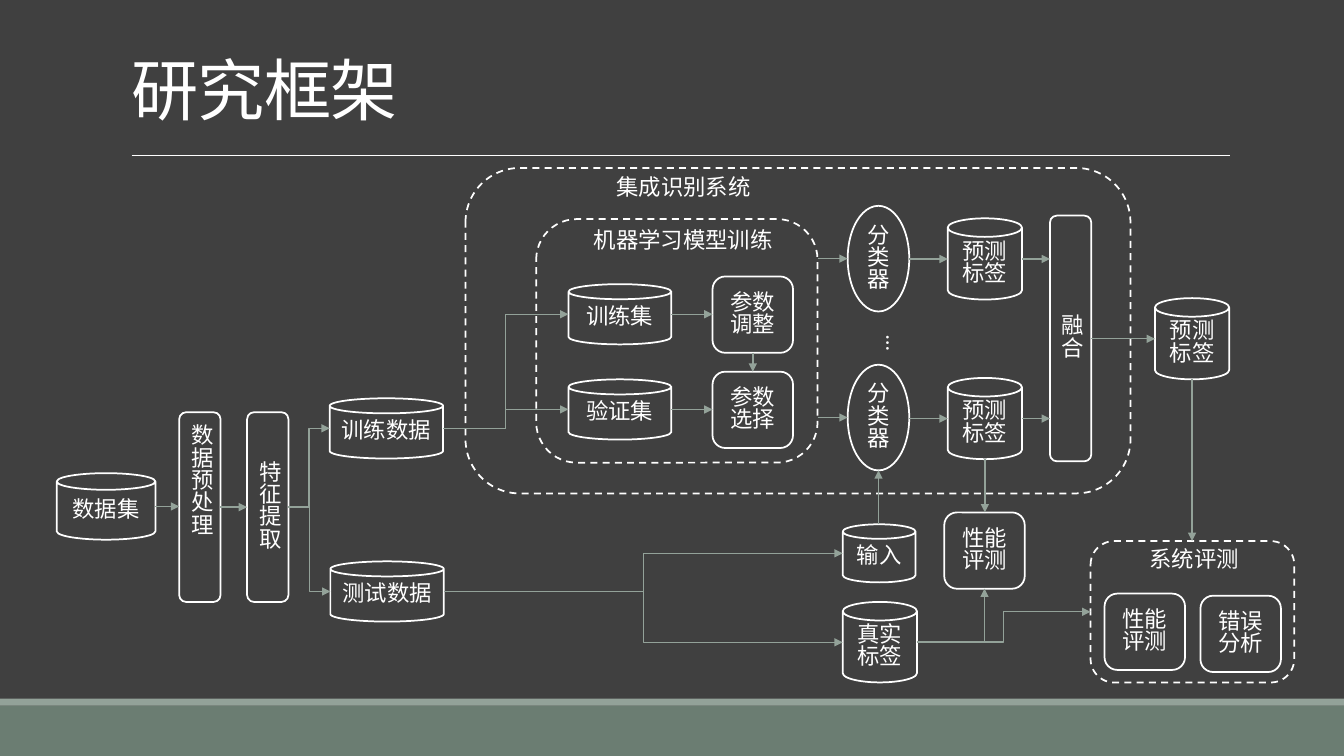
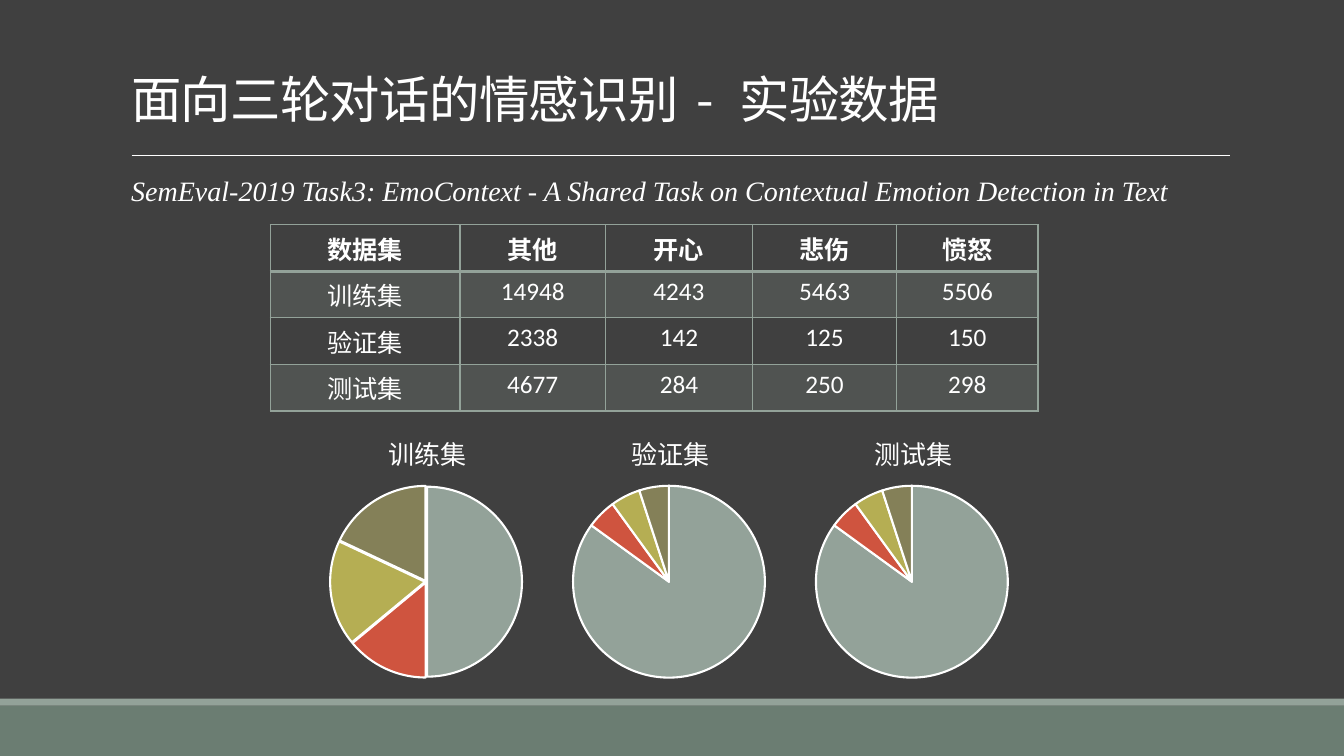
"""Build two slides: a research framework diagram and the experiment data."""
import lxml.etree
import pptx
import pptx.chart.data
import pptx.dml.color
import pptx.enum.chart
import pptx.enum.dml
import pptx.enum.shapes
import pptx.enum.text
import pptx.oxml.ns
import pptx.util

Pt = pptx.util.Pt
qn = pptx.oxml.ns.qn
SHAPE = pptx.enum.shapes.MSO_SHAPE
ALIGN = pptx.enum.text.PP_ALIGN
ANCHOR = pptx.enum.text.MSO_ANCHOR

COLORS = {"ground": "404040", "band": "6B7D72", "sage": "93A299", "white": "FFFFFF",
          "red": "CF543F", "lime": "B5AE53", "olive": "848058"}
HAN, LATIN, SERIF = "Noto Sans CJK SC", "Calibri", "Times New Roman"
SLIDE_W, SLIDE_H = 960, 540
BANDS = [("band", 504, 36), ("sage", 499, 5)]
RULE = (94, 878.5, 111)

FRAMEWORK_TITLE = [("研究框架", -0.5)]
DATA_TITLE = [("面向三轮对话的情感识别", -0.5), (" - ", 5), ("实验数据", -0.5)]
SOURCE = "SemEval-2019 Task3: EmoContext - A Shared Task on Contextual Emotion Detection in Text"

CAN, BOX, OVAL = SHAPE.CAN, SHAPE.ROUNDED_RECTANGLE, SHAPE.OVAL
NODES = {
    "dataset": ("数据集", CAN, 40.5, 338, 70.5, 47.5),
    "preprocess": ("数据预处理", BOX, 128, 294.5, 29.5, 135.5),
    "features": ("特征提取", BOX, 176.5, 294.5, 29.5, 135.5),
    "train data": ("训练数据", CAN, 235.5, 284.5, 81, 43),
    "test data": ("测试数据", CAN, 236, 401, 81, 43),
    "train set": ("训练集", CAN, 406, 203, 73.5, 43),
    "valid set": ("验证集", CAN, 406, 271, 73.5, 43),
    "tuning": ("参数调整", BOX, 509, 197.5, 57.5, 54.5),
    "selection": ("参数选择", BOX, 509, 265.5, 57.5, 54.5),
    "classifier 1": ("分类器", OVAL, 605.5, 147, 44, 75.5),
    "classifier n": ("分类器", OVAL, 605.5, 260.5, 44, 75.5),
    "labels 1": ("预测标签", CAN, 677, 156, 53, 58),
    "labels n": ("预测标签", CAN, 677, 270, 53, 58),
    "fusion": ("融合", BOX, 750, 154, 29.5, 175.5),
    "result": ("预测标签", CAN, 825, 213, 53, 58),
    "input": ("输入", CAN, 602, 374.5, 52, 41.5),
    "truth": ("真实标签", CAN, 602, 430, 53, 57.5),
    "single score": ("性能评测", BOX, 674.5, 366, 57.5, 54.5),
    "system score": ("性能评测", BOX, 789, 424, 57.5, 54.5),
    "errors": ("错误分析", BOX, 857.5, 425.5, 57.5, 54.5),
}
FRAMES = {
    "ensemble": ("", BOX, 332.5, 120, 475, 232.5),
    "training": ("", BOX, 383, 156.5, 201, 174),
    "evaluation": ("", BOX, 779, 386.5, 145.5, 101),
}
FRAME_LABELS = [
    ("集成识别系统", 432.5, 123, 111.5),
    ("机器学习模型训练", 416, 161.5, 144),
    ("系统评测", 813.5, 389, 79),
]
STRAIGHT_ACROSS = [
    ("dataset", "preprocess"), ("preprocess", "features"),
    ("train set", "tuning"), ("valid set", "selection"),
    ("training", "classifier 1"), ("training", "classifier n"),
    ("classifier 1", "labels 1"), ("classifier n", "labels n"),
    ("labels 1", "fusion"), ("labels n", "fusion"), ("fusion", "result"),
]
STRAIGHT_ALONG = [
    ("tuning", "selection"), ("input", "classifier n"),
    ("labels n", "single score"), ("result", "evaluation"),
]
BENT = [
    ("features", "train data"), ("features", "test data"),
    ("train data", "train set"), ("train data", "valid set"),
    ("test data", "input"), ("test data", "truth"), ("truth", "evaluation"),
]
CORNER = ("truth", "single score")

COUNTS = [
    ("数据集", "其他", "开心", "悲伤", "愤怒"),
    ("训练集", "14948", "4243", "5463", "5506"),
    ("验证集", "2338", "142", "125", "150"),
    ("测试集", "4677", "284", "250", "298"),
]
COLUMN_WIDTHS = [135.5, 104, 105, 103, 101]
ROW_HEIGHT = 33
SHARES = [("训练集", (50, 14, 18, 18), 1), ("验证集", (85, 5, 5, 5), 0), ("测试集", (85, 5, 5, 5), 0)]
SLICE_COLORS = ["sage", "red", "lime", "olive"]
PIE_LEFT, PIE_TOP, PIE_W, PIE_H = 216.75, 290, 173.5, 202.5


def rgb(color):
    return pptx.dml.color.RGBColor.from_string(COLORS[color])


def sub(parent, tag, **attributes):
    return lxml.etree.SubElement(parent, qn(tag), attributes)


def write(paragraph, text, size, face=HAN, bold=False, italic=False, spacing=None):
    run = paragraph.add_run()
    run.text = text
    font = run.font
    font.size, font.name, font.bold, font.italic = Pt(size), face, bold, italic
    font.color.rgb = rgb("white")
    properties = run.font._element
    sub(properties, "a:ea", typeface=face)
    if spacing is not None:
        properties.set("spc", str(round(spacing * 100)))


def set_vertical(shape):
    next(shape.element.iter(qn("a:bodyPr"))).set("vert", "eaVert")


def add_line(shapes, kind, start, end, color, width):
    line = shapes.add_connector(kind, *(Pt(value) for value in (*start, *end)))
    line.line.color.rgb = rgb(color)
    line.line.width = Pt(width)
    sub(line.element.spPr, "a:effectLst")
    return line


def decorate_master(deck, slide):
    master = deck.slide_master
    master.background.fill.solid()
    master.background.fill.fore_color.rgb = rgb("ground")
    parts = []
    for color, top, height in BANDS:
        band = slide.shapes.add_shape(SHAPE.RECTANGLE, 0, Pt(top), Pt(SLIDE_W), Pt(height))
        band.shadow.inherit = False
        band.fill.solid()
        band.fill.fore_color.rgb = rgb(color)
        band.line.fill.background()
        parts.append(band)
    left, right, y = RULE
    parts.append(add_line(slide.shapes, pptx.enum.shapes.MSO_CONNECTOR.STRAIGHT,
                          (left, y), (right, y), "white", 0.5))
    for number, part in enumerate(parts, 101):
        next(part.element.iter(qn("p:cNvPr"))).set("id", str(number))
        master.shapes.element.append(part.element)


def place(shape, left, top, width, height):
    shape.left, shape.top, shape.width, shape.height = Pt(left), Pt(top), Pt(width), Pt(height)


def add_titled_slide(deck, layout, title_runs, size):
    slide = deck.slides.add_slide(deck.slide_layouts[layout])
    title = slide.shapes.title
    place(title, 86.5, -22.5, 792, 114.5)
    frame = title.text_frame
    frame.auto_size = pptx.enum.text.MSO_AUTO_SIZE.NONE
    frame.vertical_anchor = ANCHOR.BOTTOM
    frame.margin_bottom = 0
    heading = frame.paragraphs[0]
    heading.alignment, heading.line_spacing = ALIGN.LEFT, 0.85
    for text, spacing in title_runs:
        write(heading, text, size, spacing=spacing)
    return slide


def add_node(slide, text, kind, left, top, width, height, dashed=False):
    node = slide.shapes.add_shape(kind, Pt(left), Pt(top), Pt(width), Pt(height))
    node.shadow.inherit = False
    node.fill.background()
    node.line.color.rgb = rgb("white")
    node.line.width = Pt(1.25)
    if dashed:
        node.line.dash_style = pptx.enum.dml.MSO_LINE.DASH
    if text:
        label = node.text_frame.paragraphs[0]
        label.alignment, label.line_spacing = ALIGN.CENTER, 0.83
        write(label, text, 16)
    return node


def add_label(slide, text, left, top, width, height, face=HAN):
    box = slide.shapes.add_textbox(Pt(left), Pt(top), Pt(width), Pt(height))
    box.text_frame.word_wrap = False
    label = box.text_frame.paragraphs[0]
    label.alignment, label.line_spacing = ALIGN.CENTER, 0.83
    write(label, text, 16, face)
    return box


def add_arrow(slide, start, end, bent=False):
    kinds = pptx.enum.shapes.MSO_CONNECTOR
    arrow = add_line(slide.shapes, kinds.ELBOW if bent else kinds.STRAIGHT, start, end, "sage", 1)
    sub(arrow.line._get_or_add_ln(), "a:tailEnd", type="triangle")
    return arrow


def add_flow(slide):
    areas = {name: part[2:] for name, part in {**NODES, **FRAMES}.items()}

    def middle(name):
        left, top, width, height = areas[name]
        return left + width / 2, top + height / 2

    def right_side(name):
        return areas[name][0] + areas[name][2]

    def bottom(name):
        return areas[name][1] + areas[name][3]

    for source, target in STRAIGHT_ACROSS:
        y = middle(min(source, target, key=lambda name: areas[name][3]))[1]
        add_arrow(slide, (right_side(source), y), (areas[target][0], y))
    for source, target in STRAIGHT_ALONG:
        x = middle(min(source, target, key=lambda name: areas[name][2]))[0]
        downward = areas[source][1] < areas[target][1]
        start = bottom(source) if downward else areas[source][1]
        end = areas[target][1] if downward else bottom(target)
        add_arrow(slide, (x, start), (x, end))
    for source, target in BENT:
        add_arrow(slide, (right_side(source), middle(source)[1]),
                  (areas[target][0], middle(target)[1]), bent=True)
    source, target = CORNER
    corner = add_arrow(slide, (right_side(source), middle(source)[1]),
                       (middle(target)[0], bottom(target)), bent=True)
    next(corner.element.iter(qn("a:prstGeom"))).set("prst", "bentConnector2")


def add_framework(slide):
    for frame in FRAMES.values():
        add_node(slide, *frame, dashed=True)
    for name, node in NODES.items():
        shape = add_node(slide, *node)
        if name == "preprocess":
            set_vertical(shape)
    for text, left, top, width in FRAME_LABELS:
        add_label(slide, text, left, top, width, 26.5)
    set_vertical(add_label(slide, "…", 615.5, 232.5, 34, 19, LATIN))
    add_flow(slide)


def add_source(slide):
    body = slide.placeholders[1]
    place(body, 86.5, 123, 792, 339)
    frame = body.text_frame
    frame.margin_left = frame.margin_right = 0
    frame.auto_size = pptx.enum.text.MSO_AUTO_SIZE.NONE
    line = frame.paragraphs[0]
    line.line_spacing, line.space_before, line.space_after = 0.9, Pt(12), Pt(2)
    properties = line._p.get_or_add_pPr()
    properties.set("marL", str(Pt(7.2)))
    properties.set("indent", "0")
    sub(properties, "a:buNone")
    write(line, SOURCE, 20, SERIF, italic=True)


def set_borders(cell, bottom_width, top_width):
    properties = cell._tc.get_or_add_tcPr()
    for index, (side, width) in enumerate(
            [("L", 1), ("R", 1), ("T", top_width), ("B", bottom_width)]):
        edge = sub(properties, "a:ln" + side, w=str(Pt(width)))
        sub(sub(edge, "a:solidFill"), "a:srgbClr", val=COLORS["sage"])
        properties.insert(index, edge)


def add_counts(slide):
    table = slide.shapes.add_table(
        len(COUNTS), len(COLUMN_WIDTHS), Pt(193), Pt(160.5),
        Pt(sum(COLUMN_WIDTHS)), Pt(ROW_HEIGHT * len(COUNTS))).table
    table.horz_banding = False
    for column, width in zip(table.columns, COLUMN_WIDTHS):
        column.width = Pt(width)
    for r, row in enumerate(COUNTS):
        table.rows[r].height = Pt(ROW_HEIGHT)
        for c, text in enumerate(row):
            cell = table.cell(r, c)
            cell.vertical_anchor = ANCHOR.MIDDLE if r == 0 else ANCHOR.TOP
            if r % 2:
                cell.fill.solid()
                cell.fill.fore_color.rgb = rgb("sage")
                sub(next(cell._tc.iter(qn("a:srgbClr"))), "a:alpha", val="20000")
            else:
                cell.fill.background()
            set_borders(cell, 2 if r == 0 else 1, 2 if r == 1 else 1)
            entry = cell.text_frame.paragraphs[0]
            entry.alignment = ALIGN.CENTER
            write(entry, text, 18, LATIN if text.isdigit() else HAN, bold=r == 0)


def set_layout(parent, index, **fractions):
    for old in parent.findall(qn("c:layout")):
        parent.remove(old)
    layout = sub(parent, "c:layout")
    manual = sub(layout, "c:manualLayout")
    if "w" in fractions:
        sub(manual, "c:layoutTarget", val="inner")
    for axis in "xy":
        sub(manual, f"c:{axis}Mode", val="edge")
    for key, value in fractions.items():
        sub(manual, "c:" + key, val=str(value))
    parent.insert(index, layout)


def add_pie(slide, left, title, shares, explosion):
    data = pptx.chart.data.CategoryChartData()
    data.categories = [str(number) for number in range(1, len(shares) + 1)]
    data.add_series("Series 1", shares)
    chart = slide.shapes.add_chart(pptx.enum.chart.XL_CHART_TYPE.PIE, Pt(left), Pt(PIE_TOP),
                                   Pt(PIE_W), Pt(PIE_H), data).chart
    chart.has_legend = False
    chart.font.size, chart.font.name = Pt(10), LATIN
    chart.font.color.rgb = rgb("white")
    chart.has_title = True
    write(chart.chart_title.text_frame.paragraphs[0], title, 18.6)
    set_layout(chart.chart_title._element, 1, x=0.33, y=0.07)
    set_layout(next(chart.element.iter(qn("c:plotArea"))), 0, x=0.11, y=0.28, w=0.79, h=0.68)
    series = chart.plots[0].series[0]
    for index, color in enumerate(SLICE_COLORS):
        wedge = series.points[index].format
        wedge.fill.solid()
        wedge.fill.fore_color.rgb = rgb(color)
        wedge.line.color.rgb = rgb("white")
        wedge.line.width = Pt(1.5)
    if explosion:
        offset = sub(series._element, "c:explosion", val=str(explosion))
        series._element.find(qn("c:dPt")).addprevious(offset)


def main():
    deck = pptx.Presentation()
    deck.slide_width, deck.slide_height = Pt(SLIDE_W), Pt(SLIDE_H)
    framework = add_titled_slide(deck, 5, FRAMEWORK_TITLE, 48)
    decorate_master(deck, framework)
    add_framework(framework)
    experiment = add_titled_slide(deck, 1, DATA_TITLE, 36)
    add_source(experiment)
    add_counts(experiment)
    for index, pie in enumerate(SHARES):
        add_pie(experiment, PIE_LEFT + index * PIE_W, *pie)
    deck.save("out.pptx")


if __name__ == "__main__":
    main()
